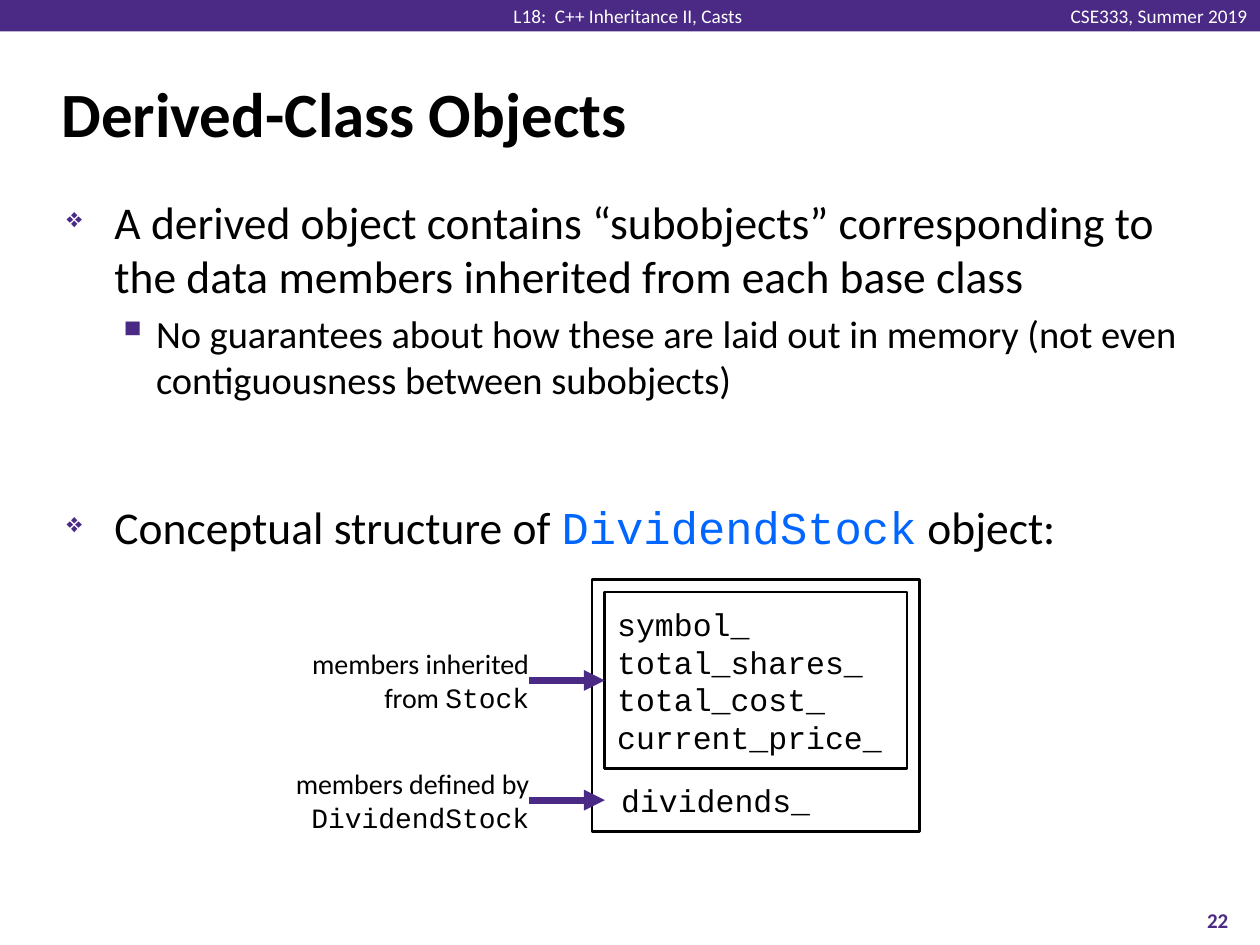
from lxml import etree
from pptx import Presentation
from pptx import util as u
from pptx.dml.color import RGBColor
from pptx.enum import shapes, text
from pptx.oxml.ns import qn

COLORS = {"purple": "4B2A85", "black": "000000", "white": "FFFFFF", "blue": "0066FF"}
SANS, MONO = "Calibri", "Courier New"
LEFT, CENTER, RIGHT = text.PP_ALIGN.LEFT, text.PP_ALIGN.CENTER, text.PP_ALIGN.RIGHT
MIDDLE, TOP, BOTTOM = text.MSO_ANCHOR.MIDDLE, text.MSO_ANCHOR.TOP, text.MSO_ANCHOR.BOTTOM

HEADERS = [
    ("CSE333, Summer 2019", (8.38, 0.03, 1.62, 0.19), RIGHT),
    ("L18:  C++ Inheritance II, Casts", (3.95, 0.03, 2.07, 0.19), CENTER),
]
TITLE = "Derived-Class Objects"
BULLETS = [
    (0, 0, [("A derived object contains “subobjects” corresponding to the data members "
             "inherited from each base class", SANS, "black")]),
    (1, 4, [("No guarantees about how these are laid out in memory "
             "(not even contiguousness between subobjects)", SANS, "black")]),
    (0, 55, [("Conceptual structure of ", SANS, "black"),
             ("DividendStock", MONO, "blue"),
             (" object:", SANS, "black")]),
]
LEVELS = [
    {"size": 26, "margin": 0.38, "hanging": 0.38, "mark": "❖", "percent": 60},
    {"size": 22, "margin": 0.71, "hanging": 0.31, "mark": "▪", "percent": 110},
]
INHERITED = ["symbol_", "total_shares_", "total_cost_", "current_price_"]
DEFINED = ["dividends_"]
LABELS = [
    ("members inherited from ", "Stock", 5.4),
    ("members defined by ", "DividendStock", 6.35),
]
PAGE = "22"


def color(name):
    return RGBColor.from_string(COLORS[name])


def inches(values):
    return [u.Inches(value) for value in values]


def style(font, size, name=SANS, shade="black", bold=False):
    font.size, font.name, font.bold = u.Pt(size), name, bold
    font.color.rgb = color(shade)


def set_frame(shape, anchor, insets=(0.1, 0.05, 0.1, 0.05), wrap=True):
    frame = shape.text_frame
    frame.word_wrap, frame.vertical_anchor = wrap, anchor
    (frame.margin_left, frame.margin_top,
     frame.margin_right, frame.margin_bottom) = inches(insets)
    return frame


def add_text(slide, box, anchor, **options):
    return set_frame(slide.shapes.add_textbox(*inches(box)), anchor, **options)


def add_line(slide, content, box, align, size, shade, bold=False, **options):
    paragraph = add_text(slide, box, MIDDLE, **options).paragraphs[0]
    paragraph.text, paragraph.alignment = content, align
    style(paragraph.font, size, shade=shade, bold=bold)


def add_runs(paragraph, runs, size):
    for content, name, shade in runs:
        run = paragraph.add_run()
        run.text = content
        style(run.font, size, name, shade)


def add_bullet(paragraph, level):
    properties = paragraph._p.get_or_add_pPr()
    properties.set("marL", str(u.Inches(level["margin"])))
    properties.set("indent", str(-u.Inches(level["hanging"])))
    shade = etree.SubElement(properties, qn("a:buClr"))
    etree.SubElement(shade, qn("a:srgbClr"), val=COLORS["purple"])
    etree.SubElement(properties, qn("a:buSzPct"), val=str(level["percent"] * 1000))
    etree.SubElement(properties, qn("a:buChar"), char=level["mark"])


def add_body(slide):
    frame = add_text(slide, (0.43, 1.49, 9.15, 5.44), TOP)
    for index, (depth, before, runs) in enumerate(BULLETS):
        paragraph = frame.add_paragraph() if index else frame.paragraphs[0]
        paragraph.level, paragraph.space_before = depth, u.Pt(before)
        add_bullet(paragraph, LEVELS[depth])
        add_runs(paragraph, runs, LEVELS[depth]["size"])


def add_object_box(slide, box, members, anchor, insets):
    shape = slide.shapes.add_shape(shapes.MSO_SHAPE.RECTANGLE, *inches(box))
    shape.shadow.inherit = False
    shape.fill.background()
    shape.line.color.rgb, shape.line.width = color("black"), u.Pt(1.5)
    frame = set_frame(shape, anchor, insets)
    for index, member in enumerate(members):
        paragraph = frame.add_paragraph() if index else frame.paragraphs[0]
        paragraph.text, paragraph.alignment = member, LEFT
        style(paragraph.font, 18, MONO)


def add_arrow(slide, start, end, y):
    arrow = slide.shapes.add_connector(
        shapes.MSO_CONNECTOR.STRAIGHT, *inches((start, y, end, y)))
    arrow.line.color.rgb, arrow.line.width = color("purple"), u.Pt(4)
    etree.SubElement(arrow.line._get_or_add_ln(), qn("a:tailEnd"), type="triangle")
    etree.SubElement(arrow._element.spPr, qn("a:effectLst"))


def add_diagram(slide):
    add_object_box(slide, (4.7, 4.6, 2.6, 2), DEFINED, BOTTOM, (0.23, 0.05, 0.1, 0.1))
    add_object_box(slide, (4.8, 4.7, 2.4, 1.4), INHERITED, MIDDLE, (0.1, 0.05, 0.1, 0.05))
    for caption, class_name, y in LABELS:
        frame = add_text(slide, (2.2, y - 0.3, 2, 0.6), MIDDLE, insets=(0, 0.05, 0, 0.05))
        paragraph = frame.paragraphs[0]
        paragraph.alignment = RIGHT
        add_runs(paragraph, [(caption, SANS, "black"), (class_name, MONO, "black")], 16)
        add_arrow(slide, 4.2, 4.8, y)


def main():
    presentation = Presentation()
    presentation.slide_width, presentation.slide_height = inches((10, 7.5))
    slide = presentation.slides.add_slide(presentation.slide_layouts[6])
    band = slide.shapes.add_shape(shapes.MSO_SHAPE.RECTANGLE, *inches((0, 0, 10, 0.25)))
    band.shadow.inherit = False
    band.fill.solid()
    band.fill.fore_color.rgb = color("purple")
    band.line.fill.background()
    for content, box, align in HEADERS:
        add_line(slide, content, box, align, 11, "white", insets=(0.1, 0, 0.1, 0), wrap=False)
    add_line(slide, TITLE, (0.39, 0.48, 9.19, 0.83), LEFT, 36, "black", bold=True)
    add_body(slide)
    add_line(slide, PAGE, (9.33, 7.1, 0.67, 0.4), CENTER, 12, "purple", bold=True)
    add_diagram(slide)
    presentation.save("out.pptx")


if __name__ == "__main__":
    main()
